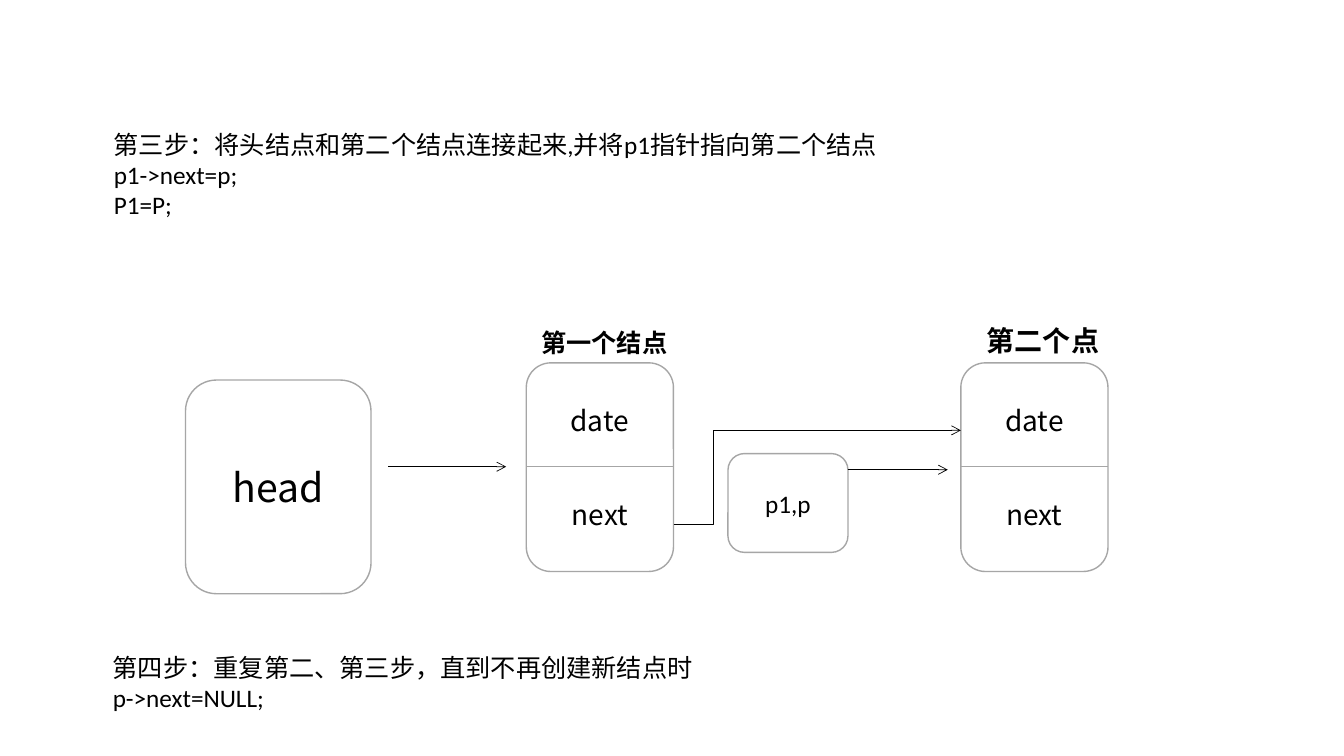
"""Build the linked list slide: joining the second node."""
from pptx import Presentation
from pptx import util as u
from pptx.dml.color import RGBColor
from pptx.enum import shapes, text
from pptx.oxml import ns, xmlchemy

INK = {"text": "000000", "edge": "A6A6A6", "fill": "FFFFFF"}
SANS = "Noto Sans CJK JP"
LATIN = "Calibri"


def color(name):
    return RGBColor.from_string(INK[name])


def add(parent, tag, **attrs):
    node = xmlchemy.OxmlElement(tag)
    for key, value in attrs.items():
        node.set(key, value)
    parent.append(node)


def write(frame, lines, size, face, bold=False, align=None, gap=0):
    frame.word_wrap = True
    for i, line in enumerate(lines):
        para = frame.add_paragraph() if i else frame.paragraphs[0]
        para.alignment = align
        if i and gap:
            para.space_before = u.Pt(gap)
        run = para.add_run()
        run.text = line
        font = run.font
        font.size = u.Pt(size)
        font.bold = bold
        font.color.rgb = color("text")
        font.name = face
        add(font._element, "a:ea", typeface=SANS)


def label(slide, box, lines, size=18, face=LATIN, bold=False):
    shape = slide.shapes.add_textbox(*map(u.Inches, box))
    write(shape.text_frame, lines, size, face, bold)
    shape.text_frame.auto_size = text.MSO_AUTO_SIZE.SHAPE_TO_FIT_TEXT


def card(slide, box, lines, size, face=SANS, gap=0):
    shape = slide.shapes.add_shape(
        shapes.MSO_SHAPE.ROUNDED_RECTANGLE, *map(u.Inches, box))
    shape.shadow.inherit = False
    shape.fill.solid()
    shape.fill.fore_color.rgb = color("fill")
    shape.line.color.rgb = color("edge")
    shape.line.width = u.Pt(1)
    frame = shape.text_frame
    frame.vertical_anchor = text.MSO_ANCHOR.MIDDLE
    write(frame, lines, size, face, align=text.PP_ALIGN.CENTER, gap=gap)


def link(slide, start, end, ink="text", arrow=True, bend=None):
    kind = shapes.MSO_CONNECTOR.ELBOW if bend else shapes.MSO_CONNECTOR.STRAIGHT
    wire = slide.shapes.add_connector(kind, *map(u.Inches, start + end))
    wire.line.color.rgb = color(ink)
    wire.line.width = u.Pt(0.5)
    if arrow:
        add(wire.line._get_or_add_ln(), "a:tailEnd", type="arrow")
    props = wire._element.spPr
    add(props, "a:effectLst")
    if bend:
        guides = props.find(".//" + ns.qn("a:avLst"))
        add(guides, "a:gd", name="adj1", fmla=f"val {round(bend * 100000)}")


def node(slide, left):
    card(slide, (left, 3.6, 1.46, 2.07), ["date", "next"], 20, gap=43)
    link(slide, (left, 4.63), (left + 1.46, 4.63), "edge", arrow=False)


def main():
    deck = Presentation()
    deck.slide_width, deck.slide_height = u.Inches(13.33), u.Inches(7.5)
    slide = deck.slides.add_slide(deck.slide_layouts[6])

    label(slide, (5.27, 3.2, 1.57, 0.4), ["第一个结点"], 18, SANS, True)
    label(slide, (9.69, 3.16, 1.8, 0.44), ["第二个点"], 20, SANS, True)
    for left in (5.22, 9.53):
        node(slide, left)
    card(slide, (1.84, 3.77, 1.84, 2.12), ["head"], 28)
    card(slide, (7.22, 4.5, 1.19, 0.98), ["p1,p"], 18, LATIN)

    link(slide, (3.85, 4.63), (5.02, 4.63))
    link(slide, (6.68, 5.2), (9.53, 4.27), bend=0.14)
    link(slide, (8.41, 4.66), (9.4, 4.66))

    label(slide, (1.03, 1.23, 8.12, 1.01), [
        "第三步：将头结点和第二个结点连接起来,并将p1指针指向第二个结点",
        "p1->next=p;", "P1=P;"])
    label(slide, (1.02, 6.42, 8.52, 0.71), [
        "第四步：重复第二、第三步，直到不再创建新结点时", "p->next=NULL;"])
    deck.save("out.pptx")


if __name__ == "__main__":
    main()
